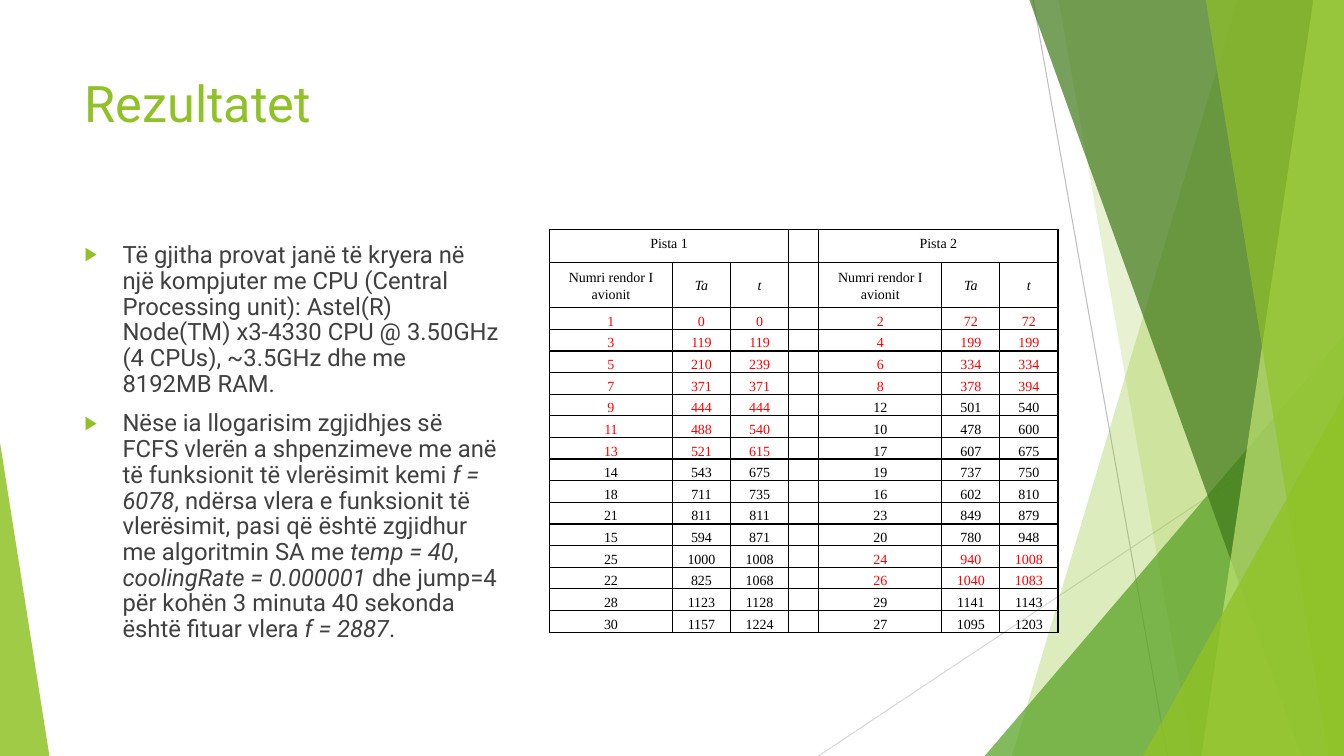
from dataclasses import dataclass

from lxml import etree
from pptx import Presentation
from pptx.dml.color import RGBColor
from pptx.enum.shapes import MSO_CONNECTOR, MSO_SHAPE
from pptx.enum.text import MSO_ANCHOR, MSO_AUTO_SIZE, PP_ALIGN
from pptx.oxml.ns import qn
from pptx.util import Pt

TOP, MIDDLE, BOTTOM = MSO_ANCHOR.TOP, MSO_ANCHOR.MIDDLE, MSO_ANCHOR.BOTTOM
LEFT, CENTER = PP_ALIGN.LEFT, PP_ALIGN.CENTER
STRAIGHT, TRIANGLE, NO_FIT = MSO_CONNECTOR.STRAIGHT, MSO_SHAPE.ISOSCELES_TRIANGLE, MSO_AUTO_SIZE.NONE
SANS, SERIF = "Roboto", "Times New Roman"
GREEN, GRAY, BLACK, RED = "90C226", "404040", "000000", "FF0000"
WIDTH, HEIGHT, EDGE = 960, 540, -0.7


@dataclass
class Line:
    start: tuple
    end: tuple
    color: str


@dataclass
class Facet:
    points: list
    color: str
    alpha: int


@dataclass
class Wedge:
    box: tuple
    apex: int
    color: str
    alpha: int


@dataclass
class Plane:
    values: tuple
    red: bool = False


LINES = [
    Line((738, 0), (833.8, HEIGHT), "BFBFBF"),
    Line((WIDTH, 290.2), (584.6, HEIGHT), "D9D9D9"),
]


def facet(top: float, foot: float, color: str, alpha: int) -> Facet:
    """Slanted left edge, closed along the right side of the slide."""
    return Facet([(top, EDGE), (WIDTH, EDGE), (WIDTH, HEIGHT), (foot, HEIGHT)], color, alpha)


DECOR = [
    facet(884.2, 722.9, GREEN, 30),
    facet(756, 851.8, GREEN, 20),
    Wedge((703.4, 239.8, 256.6, 300.2), 1, "54A021", 72),
    facet(735.1, 929.5, "3F7819", 70),
    facet(938.2, 858.2, "C0E474", 70),
    facet(861.1, 949, GREEN, 65),
    Wedge((816.5, 283, 143.5, 257), 1, GREEN, 80),
    Wedge((0, 316.1, 35.3, 223.9), 0, GREEN, 85),
]

# Runs alternate between plain and italic
BODY = [
    ["Të gjitha provat janë të kryera në një kompjuter me CPU (Central Processing unit): "
     "Astel(R) Node(TM) x3-4330 CPU @ 3.50GHz (4 CPUs), ~3.5GHz dhe me 8192MB RAM."],
    ["Nëse ia llogarisim zgjidhjes së FCFS vlerën a shpenzimeve me anë të funksionit të "
     "vlerësimit kemi ", "f = 6078",
     ", ndërsa vlera e funksionit të vlerësimit, pasi që është zgjidhur me algoritmin SA me ",
     "temp = 40", ", ", "coolingRate = 0.000001",
     " dhe jump=4 për kohën 3 minuta 40 sekonda është fituar vlera ", "f = 2887", "."],
]

HEADS = ("Numri rendor I avionit", "Ta", "t")
COLS = [87.8, 41.5, 41.5, 21.6, 87.8, 41.5, 41.5]
HEAD_ROWS, ROW = [23.6, 32.2], 15.47
FIRST = [Plane(v, v[0] <= 13) for v in [
    (1, 0, 0), (3, 119, 119), (5, 210, 239), (7, 371, 371), (9, 444, 444),
    (11, 488, 540), (13, 521, 615), (14, 543, 675), (18, 711, 735), (21, 811, 811),
    (15, 594, 871), (25, 1000, 1008), (22, 825, 1068), (28, 1123, 1128), (30, 1157, 1224)]]
SECOND = [Plane(v, v[0] in (2, 4, 6, 8, 24, 26)) for v in [
    (2, 72, 72), (4, 199, 199), (6, 334, 334), (8, 378, 394), (12, 501, 540),
    (10, 478, 600), (17, 607, 675), (19, 737, 750), (16, 602, 810), (23, 849, 879),
    (20, 780, 948), (24, 940, 1008), (26, 1040, 1083), (29, 1141, 1143), (27, 1095, 1203)]]


def rgb(code: str) -> RGBColor:
    return RGBColor.from_string(code)


def style(font, face: str, size: float, color: str) -> None:
    font.name, font.size = face, Pt(size)
    font.color.rgb = rgb(color)


def place(shape, *box: float) -> None:
    shape.left, shape.top, shape.width, shape.height = map(Pt, box)


def draw_line(shapes, line: Line) -> None:
    link = shapes.add_connector(STRAIGHT, *map(Pt, line.start + line.end))
    link.line.color.rgb = rgb(line.color)
    link.line.width = Pt(0.75)
    etree.SubElement(link._element.spPr, qn("a:effectLst"))


def draw_decor(shapes, item) -> None:
    if isinstance(item, Wedge):
        shape = shapes.add_shape(TRIANGLE, *map(Pt, item.box))
        shape.adjustments[0] = item.apex
    else:
        spots = [(Pt(x), Pt(y)) for x, y in item.points]
        form = shapes.build_freeform(*spots[0])
        form.add_line_segments(spots[1:], close=True)
        shape = form.convert_to_shape()
    shape.shadow.inherit = False
    shape.fill.solid()
    shape.fill.fore_color.rgb = rgb(item.color)
    tint = shape._element.spPr.find(qn("a:solidFill")).find(qn("a:srgbClr"))
    etree.SubElement(tint, qn("a:alpha"), val=str(item.alpha * 1000))
    shape.line.fill.background()


def add_bullet(para) -> None:
    props = para._p.get_or_add_pPr()
    props.set("marL", str(Pt(27)))
    props.set("indent", str(Pt(-27)))
    tint = etree.SubElement(props, qn("a:buClr"))
    etree.SubElement(tint, qn("a:srgbClr"), val=GREEN)
    etree.SubElement(props, qn("a:buSzPct"), val="80000")
    etree.SubElement(props, qn("a:buChar"), char="▶")


def fill_body(frame) -> None:
    for i, parts in enumerate(BODY):
        para = frame.add_paragraph() if i else frame.paragraphs[0]
        add_bullet(para)
        para.alignment, para.line_spacing, para.space_before = LEFT, 0.9, Pt(10)
        style(para.font, SANS, 17, GRAY)
        for j, text in enumerate(parts):
            run = para.add_run()
            run.text = text
            if j % 2:
                run.font.italic = True


def add_borders(cell) -> None:
    props = cell._tc.get_or_add_tcPr()
    for i, side in enumerate(("lnL", "lnR", "lnT", "lnB")):
        edge = etree.Element(qn("a:" + side), w=str(Pt(1)))
        fill = etree.SubElement(edge, qn("a:solidFill"))
        etree.SubElement(fill, qn("a:srgbClr"), val=BLACK)
        props.insert(i, edge)


def write_cell(cell, text: str, anchor, color: str = BLACK, italic: bool = False) -> None:
    cell.vertical_anchor = anchor
    side, top, foot = (6.5, 3.6, 3.6) if anchor == TOP else (5, 0.7, 0)
    cell.margin_left = cell.margin_right = Pt(side)
    cell.margin_top, cell.margin_bottom = Pt(top), Pt(foot)
    para = cell.text_frame.paragraphs[0]
    para.alignment, para.line_spacing = CENTER, 1.07
    style(para.font, SERIF, 10, color)
    para.font.italic = italic
    if text:
        para.add_run().text = text
    else:
        etree.SubElement(para._p, qn("a:endParaRPr"), sz="1000")


def draw_table(shapes) -> None:
    rows = HEAD_ROWS + [ROW] * len(FIRST)
    table = shapes.add_table(len(rows), len(COLS), Pt(392.5), Pt(164), Pt(sum(COLS)), Pt(sum(rows))).table
    table.first_row = table.horz_banding = False
    for col, width in zip(table.columns, COLS):
        col.width = Pt(width)
    for row, height in zip(table.rows, rows):
        row.height = Pt(height)
    for cell in table.iter_cells():
        cell.fill.background()
        add_borders(cell)
    for r in range(len(rows)):
        write_cell(table.cell(r, 3), "", BOTTOM)
    for left, name, planes in ((0, "Pista 1", FIRST), (4, "Pista 2", SECOND)):
        table.cell(0, left).merge(table.cell(0, left + 2))
        write_cell(table.cell(0, left), name, TOP)
        for c, head in enumerate(HEADS):
            write_cell(table.cell(1, left + c), head, MIDDLE, italic=c > 0)
            for r, plane in enumerate(planes, len(HEAD_ROWS)):
                color = RED if plane.red else BLACK
                write_cell(table.cell(r, left + c), str(plane.values[c]), BOTTOM, color)


def main() -> None:
    deck = Presentation()
    deck.slide_width, deck.slide_height = Pt(WIDTH), Pt(HEIGHT)
    slide = deck.slides.add_slide(deck.slide_layouts[1])
    shapes = slide.shapes
    title, body = slide.placeholders

    # Background facets
    for line in LINES:
        draw_line(shapes, line)
    for item in DECOR:
        draw_decor(shapes, item)

    # Title and list, in front of the facets
    for holder in (title, body):
        shapes._spTree.append(holder._element)
        frame = holder.text_frame
        frame.auto_size, frame.vertical_anchor, frame.word_wrap = NO_FIT, TOP, True
    place(title, 53.3, 48, 676.8, 104)
    title.text_frame.text = "Rezultatet"
    head = title.text_frame.paragraphs[0]
    head.alignment = LEFT
    style(head.font, SANS, 36, GREEN)
    place(body, 53.3, 170, 311.8, 295)
    fill_body(body.text_frame)

    # Results
    draw_table(shapes)
    deck.save("out.pptx")


if __name__ == "__main__":
    main()
